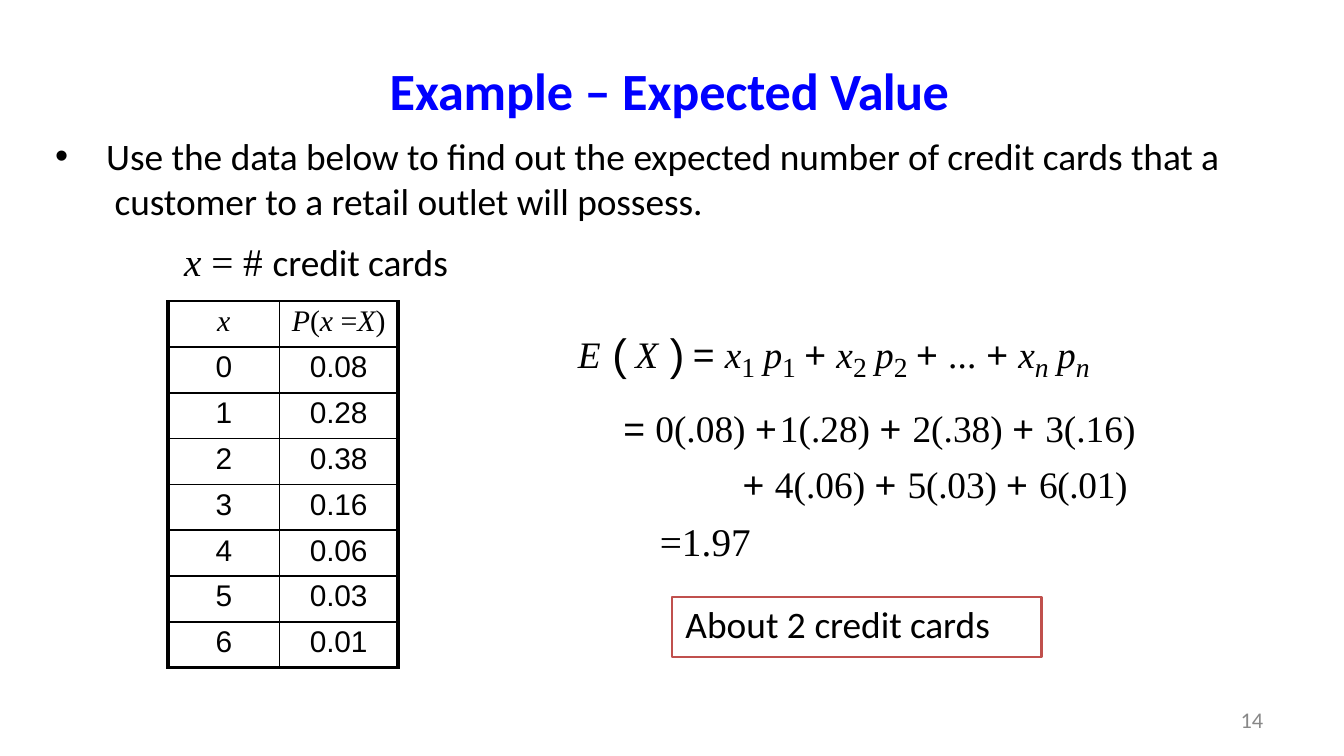
"""Build the expected value example slide."""
from lxml import etree
from pptx import Presentation, util as u
from pptx.dml.color import RGBColor
from pptx.enum import shapes, text
from pptx.oxml import ns

Inches, Pt = u.Inches, u.Pt
CALIBRI, TIMES, ARIAL = "Calibri", "Times New Roman", "Arial"
CENTER, RIGHT = text.PP_ALIGN.CENTER, text.PP_ALIGN.RIGHT


def fill_para(para, spans, before=0, indent=0, align=None, color="000000"):
    """Add spans of (words, font, size, spacing, italic, baseline) to a paragraph."""
    para.space_before = Pt(before)
    para.alignment = align
    if indent:
        para._p.get_or_add_pPr().set("marL", str(Inches(indent)))
    for words, font, size, spacing, italic, baseline in spans:
        span = para.add_run()
        span.text = words
        span.font.name, span.font.size, span.font.italic = font, Pt(size), italic
        span.font.color.rgb = RGBColor.from_string(color)
        properties = span._r.get_or_add_rPr()
        properties.set("spc", str(round(spacing * 100)))
        if baseline:
            properties.set("baseline", str(baseline * 1000))


def prepare(box, top=0):
    """Set the margins and wrapping of a box and return its first paragraph."""
    frame = box.text_frame
    frame.margin_left = frame.margin_right = frame.margin_bottom = 0
    frame.margin_top = Inches(top)
    frame.vertical_anchor = text.MSO_ANCHOR.TOP
    frame.word_wrap = True
    frame.auto_size = text.MSO_AUTO_SIZE.SHAPE_TO_FIT_TEXT
    return frame.paragraphs[0]


deck = Presentation()
deck.slide_width = Inches(10)
deck.slide_height = deck.slide_width * 9 // 16
page = deck.slides.add_slide(deck.slide_layouts[6])

title = page.shapes.add_textbox(Inches(2.89), Inches(0.42), Inches(4.23), Inches(0.49))
para = prepare(title, 0.01)
fill_para(para, [("Example – Expected ", CALIBRI, 28, -0.05, False, 0),
                 ("Value", CALIBRI, 28, -0.3, False, 0)], 0.9, 0.01, color="0000FF")
for span in para.runs:
    span.font.bold = True

number = page.shapes.add_textbox(Inches(9.19), Inches(5.27), Inches(0.26), Inches(0.2))
para = prepare(number)
para.line_spacing = Pt(13.2)
fill_para(para, [("14", CALIBRI, 12, 0, False, 0)], indent=0.04, color="888888")

probabilities = ["0.08", "0.28", "0.38", "0.16", "0.06", "0.03", "0.01"]
rows = len(probabilities) + 1
table = page.shapes.add_table(rows, 2, Inches(1.25), Inches(2.24),
                              Inches(1.71), Inches(2.73)).table
table.first_row = table.horz_banding = False
table.columns[0].width, table.columns[1].width = Inches(0.83), Inches(0.88)
heading = [(words, TIMES, 16, -0.05, italic, 0) for words, italic in
           [("P", True), ("(", False), ("x ", True), ("=", False), ("X", True), (")", False)]]
contents = [[[("x", TIMES, 16, 0, True, 0)], heading]]
for count, chance in enumerate(probabilities):
    contents.append([[(str(count), ARIAL, 16, 0, False, 0)],
                     [(chance, ARIAL, 16, -0.05, False, 0)]])
for row, pair in enumerate(contents):
    for column, spans in enumerate(pair):
        cell = table.cell(row, column)
        cell.margin_left = cell.margin_right = cell.margin_bottom = 0
        cell.margin_top = Inches(0.03)
        fill_para(cell.text_frame.paragraphs[0], spans, 2.4, align=CENTER)
        thick = {"L": column == 0, "R": column == 1, "T": False, "B": row == rows - 1}
        for side, heavy in thick.items():
            border = etree.SubElement(cell._tc.get_or_add_tcPr(), ns.qn("a:ln" + side),
                                      w=str(Pt(2.25 if heavy else 1)))
            paint = etree.SubElement(border, ns.qn("a:solidFill"))
            etree.SubElement(paint, ns.qn("a:srgbClr"), val="000000")
        cell.fill.background()

question = page.shapes.add_textbox(Inches(0.4), Inches(0.97), Inches(8.73), Inches(1.15))
para = prepare(question, 0.02)
wording = [("Use ", -0.05), ("the ", 0), ("data below to find out ", -0.05), ("the ", 0),
           ("expected number of credit cards that ", -0.05), ("a  ", 0),
           ("customer to ", -0.05), ("a ", 0), ("retail outlet will possess.", -0.05)]
fill_para(para, [(words, CALIBRI, 20, spacing, False, 0) for words, spacing in wording],
          1.1, 0.39)
properties = para._p.get_or_add_pPr()
properties.set("indent", str(Inches(-0.38)))
etree.SubElement(properties, ns.qn("a:buFont"), typeface=ARIAL)
etree.SubElement(properties, ns.qn("a:buChar"), char="•")
fill_para(question.text_frame.add_paragraph(),
          [("x ", TIMES, 21, 0, True, 0), ("= # ", TIMES, 21, 0, False, 0),
           ("credit cards", CALIBRI, 20, -0.05, False, 0)], 7.8, 0.97)

formula = page.shapes.add_textbox(Inches(4.26), Inches(1.96), Inches(4.23), Inches(1.6))
plus = ("+ ", ARIAL, 20, -0.1, False, 0)
spans = [("E ", TIMES, 20, 0.6, True, 0), ("( ", ARIAL, 40.5, -2, False, -3),
         ("X ", TIMES, 20, 0.6, True, 0), (") ", ARIAL, 40.5, -2, False, -3),
         ("= ", ARIAL, 20, -0.2, False, 0)]
for index, x_spacing, p_spacing in [("1", -2, -1.9), ("2", -0.2, -0.1), ("n", -0.1, 0)]:
    italic = index == "n"
    if italic:
        spans += [("... ", TIMES, 20, 0.1, False, 0), plus]
    spans += [("x", TIMES, 20, x_spacing, True, 0),
              (index + " ", TIMES, 25.5, 0.4, italic, -18),
              ("p", TIMES, 20, p_spacing, True, 0)]
    if italic:
        spans.append((index, TIMES, 25.5, 0.4, italic, -18))
    else:
        spans += [(index + " ", TIMES, 25.5, 0.4, italic, -18), plus]
fill_para(prepare(formula, 0.22), spans, 15.8, 0.04)

sums = [(11.3, 0.04, [("= ", -0.1), ("0(.08) ", 0), ("+", 1.6), ("1", -1.6), ("(.28) ", 0),
                      ("+ ", 0.2), ("2(.38) ", 0), ("+ ", 0.2), ("3(.16)", 0)]),
        (6.3, 0.1, [("+ ", 0), ("4(.06) ", 0), ("+ ", 0.2), ("5(.03) ", -0.1),
                    ("+ ", 0.2), ("6(.01)", -0.2)])]
for before, margin, terms in sums:
    para = formula.text_frame.add_paragraph()
    fill_para(para, [(words, ARIAL if words.strip() in "+=" else TIMES, 20, spacing, False, 0)
                     for words, spacing in terms], before, align=RIGHT)
    para._p.get_or_add_pPr().set("marR", str(Inches(margin)))

result = page.shapes.add_textbox(Inches(4.9), Inches(3.84), Inches(0.7), Inches(0.38))
fill_para(prepare(result, 0.01), [("=1.97", TIMES, 21, 0.05, False, 0)], 1, 0.01)

answer = page.shapes.add_shape(shapes.MSO_SHAPE.RECTANGLE, Inches(5), Inches(4.44),
                               Inches(2.75), Inches(0.45))
answer.shadow.inherit = False
answer.fill.background()
answer.line.color.rgb = RGBColor.from_string("C0504D")
answer.line.width = Pt(1.25)
fill_para(prepare(answer, 0.03), [("About 2 ", CALIBRI, 20, 0, False, 0),
                                  ("credit cards", CALIBRI, 20, -0.05, False, 0)],
          2.4, 0.1, text.PP_ALIGN.LEFT)

deck.save("out.pptx")
